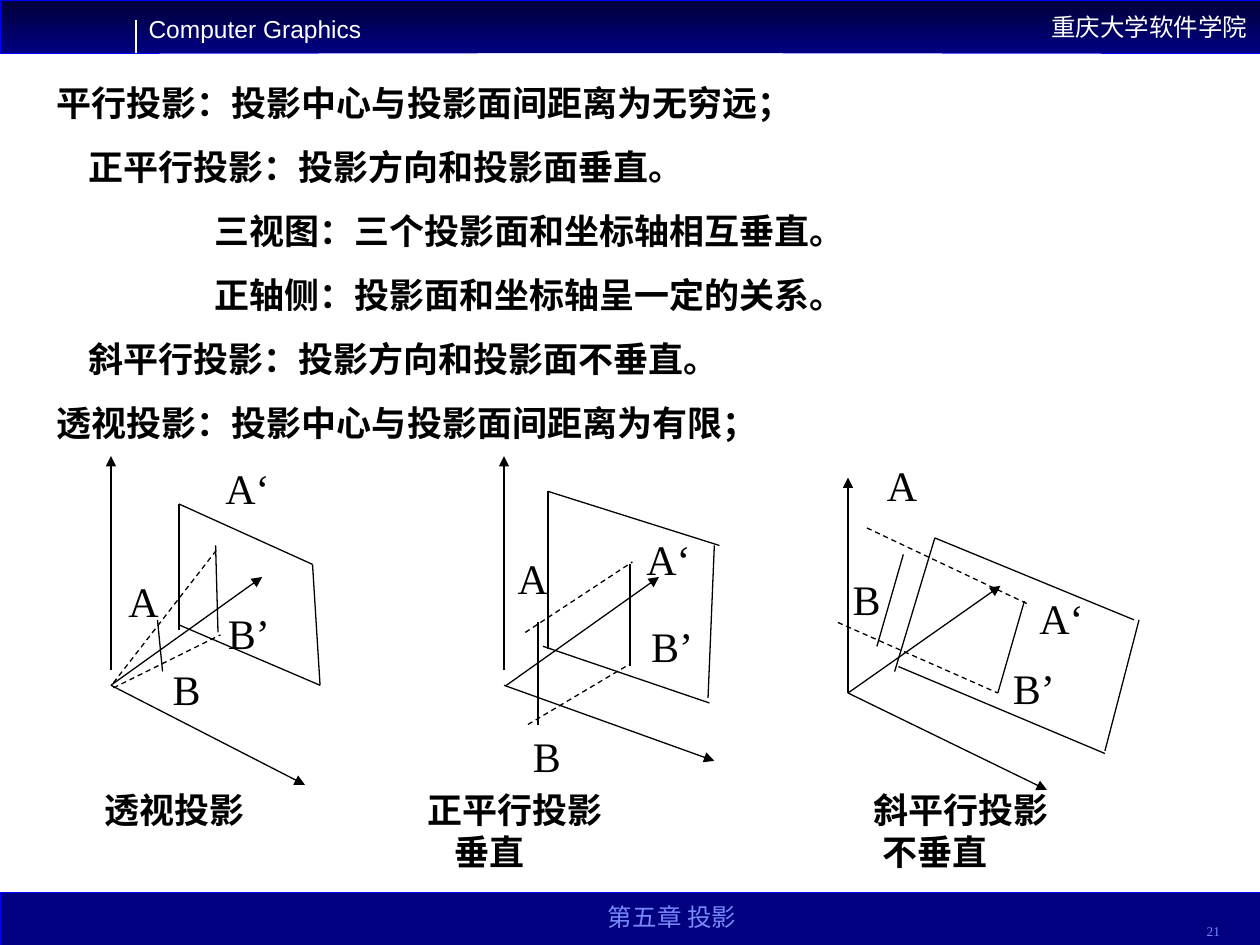
from lxml import etree
from pptx import Presentation
from pptx.dml.color import RGBColor
from pptx.enum import dml, shapes, text
from pptx.oxml.ns import qn
from pptx.util import Pt

BLACK = RGBColor(0x00, 0x00, 0x00)
WHITE = RGBColor(0xFF, 0xFF, 0xFF)
NAVY = RGBColor(0x00, 0x00, 0x80)
DARK_NAVY = RGBColor(0x00, 0x00, 0x3B)
BLUE = RGBColor(0x00, 0x00, 0xFF)
PERIWINKLE = RGBColor(0x78, 0x89, 0xFB)
SANS, SERIF = "Arial", "Times New Roman"
LEFT, CENTER, RIGHT = text.PP_ALIGN.LEFT, text.PP_ALIGN.CENTER, text.PP_ALIGN.RIGHT

# Text, margin left in points
DEFINITIONS = [
    ("平行投影：投影中心与投影面间距离为无穷远；", 0),
    ("正平行投影：投影方向和投影面垂直。", 18),
    ("三视图：三个投影面和坐标轴相互垂直。", 90),
    ("正轴侧：投影面和坐标轴呈一定的关系。", 90),
    ("斜平行投影：投影方向和投影面不垂直。", 18),
    ("透视投影：投影中心与投影面间距离为有限；", 0),
]
# Text, tab stops in points
CAPTIONS = [
    ("透视投影\t正平行投影\t斜平行投影", (184.6, 439.4)),
    ("\t垂直\t不垂直", (200, 444.6)),
]
LABEL_WIDTHS = {"A": 31.7, "B": 30.2, "A‘": 39.6, "B’": 38.2}

# Lines are x1, y1, x2, y2 and labels x, y, measured from the figure's corner
PERSPECTIVE = {
    "axes": [(0, 122.4, 0, 0), (0, 131, 86.4, 69.1), (0, 131, 110.9, 187.9)],
    "plane": [(38.9, 27.4, 38.9, 99.4), (38.9, 27.4, 115.2, 61.9),
              (115.2, 61.9, 119.5, 131), (38.9, 96.5, 119.5, 131)],
    "segments": [(26.6, 93.6, 29.5, 123.1), (59.8, 51.1, 61.2, 100.8)],
    "rays": [(1.4, 129.6, 61.2, 52.6), (1.4, 132.5, 62.6, 102.2)],
    "labels": {"A": (2.9, 64.8), "B": (28.1, 115.2), "A‘": (58.3, 0), "B’": (59.8, 82.8)},
}
ORTHOGRAPHIC = {
    "axes": [(0, 122.4, 0, 0), (1.4, 131, 88.6, 69.1), (0, 131, 120.2, 174.2)],
    "plane": [(25.2, 20.2, 25.2, 110.2), (25.2, 20.2, 123.1, 51.1),
              (22.3, 108.7, 117.4, 141.1), (120.2, 51.1, 116.6, 138.2)],
    "segments": [(19.4, 95, 19.4, 153.4), (72, 61.9, 72, 120.2)],
    "rays": [(12.2, 100.8, 73.4, 60.5), (13.7, 153.4, 72, 118.8)],
    "labels": {"A": (0.7, 51.8), "B": (9.4, 153.4), "A‘": (74.2, 41), "B’": (77, 90.7)},
}
OBLIQUE = {
    "axes": [(5.8, 136.8, 5.8, 13.7), (5.8, 136.8, 92.9, 75.6), (5.8, 136.8, 119.5, 192.2)],
    "plane": [(55.4, 48.2, 32.4, 124.6), (55.4, 48.2, 169.2, 95),
              (34.6, 121.7, 152.6, 171.4), (152.6, 169.9, 172.1, 95)],
    "segments": [(37.4, 57.6, 22.3, 110.2), (106.6, 84.2, 91.4, 136.8)],
    "rays": [(16.6, 42.5, 108, 85.7), (0, 96.5, 91.4, 136.8)],
    "labels": {"A": (20.9, 0), "B": (1.4, 64.8), "A‘": (108, 75.6), "B’": (92.9, 115.9)},
}


def add_span(para, words, size, font, color, bold=False):
    span = para.add_run()
    span.text = words
    span.font.size = Pt(size)
    span.font.name = font
    span.font.bold = bold
    span.font.color.rgb = color


def add_text_frame(page, left, top, width, height, wrap=True, anchor=text.MSO_ANCHOR.TOP):
    box = page.shapes.add_textbox(Pt(left), Pt(top), Pt(width), Pt(height))
    box.text_frame.word_wrap = wrap
    box.text_frame.vertical_anchor = anchor
    return box.text_frame


def add_line(page, x1, y1, x2, y2, color=BLACK, arrow=False, dashed=False):
    line = page.shapes.add_connector(
        shapes.MSO_CONNECTOR.STRAIGHT, Pt(x1), Pt(y1), Pt(x2), Pt(y2))
    line.line.width = Pt(0.75)
    line.line.color.rgb = color
    if dashed:
        line.line.dash_style = dml.MSO_LINE.DASH
    properties = line.element.spPr
    if arrow:
        etree.SubElement(properties.find(qn("a:ln")), qn("a:tailEnd"), type="triangle")
    etree.SubElement(properties, qn("a:effectLst"))


def add_band(page, left, top, width, height):
    band = page.shapes.add_shape(
        shapes.MSO_SHAPE.RECTANGLE, Pt(left), Pt(top), Pt(width), Pt(height))
    band.shadow.inherit = False
    band.fill.solid()
    band.fill.fore_color.rgb = NAVY
    band.line.color.rgb = BLUE
    band.line.width = Pt(0.25)
    return band


def add_header(page, left, top, width, height):
    # Gradient band with the school name
    band = add_band(page, left, top, width, height)
    band.fill.gradient()
    band.fill.gradient_angle = 270
    for stop, color in zip(band.fill.gradient_stops, (DARK_NAVY, NAVY)):
        stop.color.rgb = color
    band.text_frame.word_wrap = False
    band.text_frame.vertical_anchor = text.MSO_ANCHOR.MIDDLE
    para = band.text_frame.paragraphs[0]
    para.alignment = RIGHT
    add_span(para, "重庆大学软件学院", 14, SANS, WHITE)
    # Course name beside a thin rule
    frame = add_text_frame(page, left + 77.8, top + 4.3, 136, 24.5, wrap=False)
    add_span(frame.paragraphs[0], "Computer Graphics", 14, SANS, WHITE)
    add_line(page, left + 77.8, top + 11.5, left + 77.8, top + height, WHITE)


def add_footer(page, left, top, width, height):
    add_band(page, left, top, width, height)
    # Chapter title and page number
    for words, x, y, w, size, align, spacing in (
            ("第五章 投影", 270, -1.5, 228.2, 14, CENTER, 1.0),
            ("21", 632.2, 2.9, 72, 7.6, RIGHT, 0.8)):
        frame = add_text_frame(page, left + x, top + y, w, 27.4,
                               anchor=text.MSO_ANCHOR.BOTTOM)
        para = frame.paragraphs[0]
        para.alignment = align
        para.line_spacing = spacing
        add_span(para, words, size, SERIF, PERIWINKLE)


def add_definitions(page, left, top, width, height):
    frame = add_text_frame(page, left, top, width, height)
    for index, (words, indent) in enumerate(DEFINITIONS):
        para = frame.add_paragraph() if index else frame.paragraphs[0]
        para.space_before = Pt(8.8 if index else 0)
        para.space_after = Pt(3.7)
        para._p.get_or_add_pPr().set("marL", str(Pt(indent)))
        add_span(para, words, 20, SANS, BLACK, bold=True)


def add_figure(page, left, top, figure):
    for part in ("axes", "plane", "segments", "rays"):
        for x1, y1, x2, y2 in figure[part]:
            add_line(page, left + x1, top + y1, left + x2, top + y2,
                     arrow=part == "axes", dashed=part == "rays")
    for words, (x, y) in figure["labels"].items():
        frame = add_text_frame(page, left + x, top + y, LABEL_WIDTHS[words], 36, wrap=False)
        add_span(frame.paragraphs[0], words, 24, SERIF, BLACK)


def add_captions(page, left, top, width, height):
    frame = add_text_frame(page, left, top, width, height)
    for index, (words, stops) in enumerate(CAPTIONS):
        para = frame.add_paragraph() if index else frame.paragraphs[0]
        para.alignment = LEFT
        tabs = etree.SubElement(para._p.get_or_add_pPr(), qn("a:tabLst"))
        for stop in stops:
            etree.SubElement(tabs, qn("a:tab"), pos=str(Pt(stop)), algn="l")
        add_span(para, words, 20, SERIF, BLACK, bold=True)


def main():
    deck = Presentation()
    deck.slide_width, deck.slide_height = Pt(720), Pt(540)
    page = deck.slides.add_slide(deck.slide_layouts[6])
    add_header(page, 0, 0, 720, 30.2)
    add_footer(page, 0, 509.8, 720, 30.2)
    add_definitions(page, 25.2, 43.2, 653.8, 226.8)
    add_figure(page, 63.4, 260.6, PERSPECTIVE)
    add_figure(page, 288, 260.6, ORTHOGRAPHIC)
    add_figure(page, 478.8, 259.2, OBLIQUE)
    add_captions(page, 52.6, 447.1, 619.2, 55.4)
    deck.save("out.pptx")


if __name__ == "__main__":
    main()
